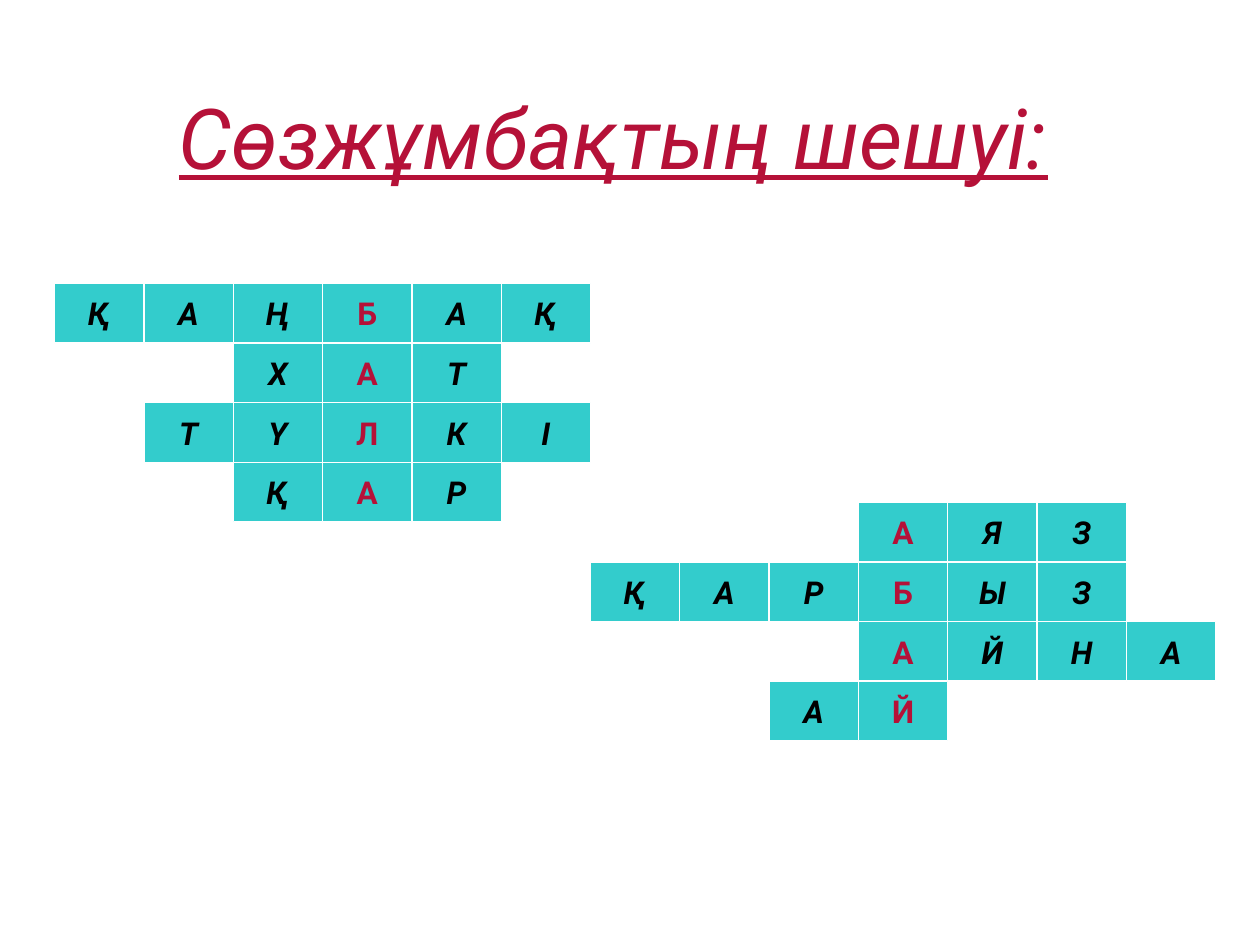
from dataclasses import dataclass

import pptx
import pptx.dml.color
import pptx.enum.shapes
import pptx.enum.text
import pptx.util

Pt = pptx.util.Pt
FONT = "Roboto"
RED, BLACK, TEAL, WHITE = "B51138", "000000", "33CCCC", "FFFFFF"
CELL_W, CELL_H = 51.05, 34.05


@dataclass
class Word:
    letters: str
    key: int


@dataclass
class Crossword:
    key_left: float
    top: float
    words: list[Word]


CROSSWORDS = [
    Crossword(184.3, 162, [Word("ҚАҢБАҚ", 3), Word("ХАТ", 1),
                           Word("ТҮЛКІ", 2), Word("ҚАР", 1)]),
    Crossword(490.5, 287.1, [Word("АЯЗ", 0), Word("ҚАРБЫЗ", 3),
                             Word("АЙНА", 0), Word("АЙ", 1)]),
]


def rgb(color: str) -> pptx.dml.color.RGBColor:
    return pptx.dml.color.RGBColor.from_string(color)


def style(r, size: float, color: str, bold: bool, italic: bool, underline: bool = False) -> None:
    r.font.name = FONT
    r.font.size = Pt(size)
    r.font.color.rgb = rgb(color)
    r.font.bold = bold
    r.font.italic = italic
    r.font.underline = underline


def add_title(s, text: str) -> None:
    sp = s.shapes.title
    sp.left, sp.top, sp.width, sp.height = Pt(36), Pt(23), Pt(648), Pt(109)
    tf = sp.text_frame
    tf.text = text
    tf.word_wrap = True
    tf.margin_left = Pt(66.2)
    tf.vertical_anchor = pptx.enum.text.MSO_ANCHOR.MIDDLE
    p = tf.paragraphs[0]
    p.alignment = pptx.enum.text.PP_ALIGN.LEFT
    style(p.runs[0], 48, RED, False, True, True)


def add_cell(s, letter: str, left: float, top: float, is_key: bool) -> None:
    sp = s.shapes.add_shape(pptx.enum.shapes.MSO_SHAPE.RECTANGLE,
                            Pt(left), Pt(top), Pt(CELL_W), Pt(CELL_H))
    sp.shadow.inherit = False
    sp.fill.solid()
    sp.fill.fore_color.rgb = rgb(TEAL)
    sp.line.color.rgb = rgb(WHITE)
    sp.line.width = Pt(0.75)
    tf = sp.text_frame
    tf.text = letter
    tf.word_wrap = False
    tf.vertical_anchor = pptx.enum.text.MSO_ANCHOR.MIDDLE
    p = tf.paragraphs[0]
    p.alignment = pptx.enum.text.PP_ALIGN.CENTER
    style(p.runs[0], 18, RED if is_key else BLACK, True, not is_key)


def add_crossword(s, crossword: Crossword) -> None:
    for row, word in enumerate(crossword.words):
        for col, letter in enumerate(word.letters):
            add_cell(s, letter, crossword.key_left + (col - word.key) * CELL_W,
                     crossword.top + row * CELL_H, col == word.key)


def main() -> None:
    prs = pptx.Presentation()
    prs.slide_width, prs.slide_height = Pt(720), Pt(540)
    s = prs.slides.add_slide(prs.slide_layouts[5])
    add_title(s, "Сөзжұмбақтың шешуі:")
    for crossword in CROSSWORDS:
        add_crossword(s, crossword)
    prs.save("out.pptx")


if __name__ == "__main__":
    main()
